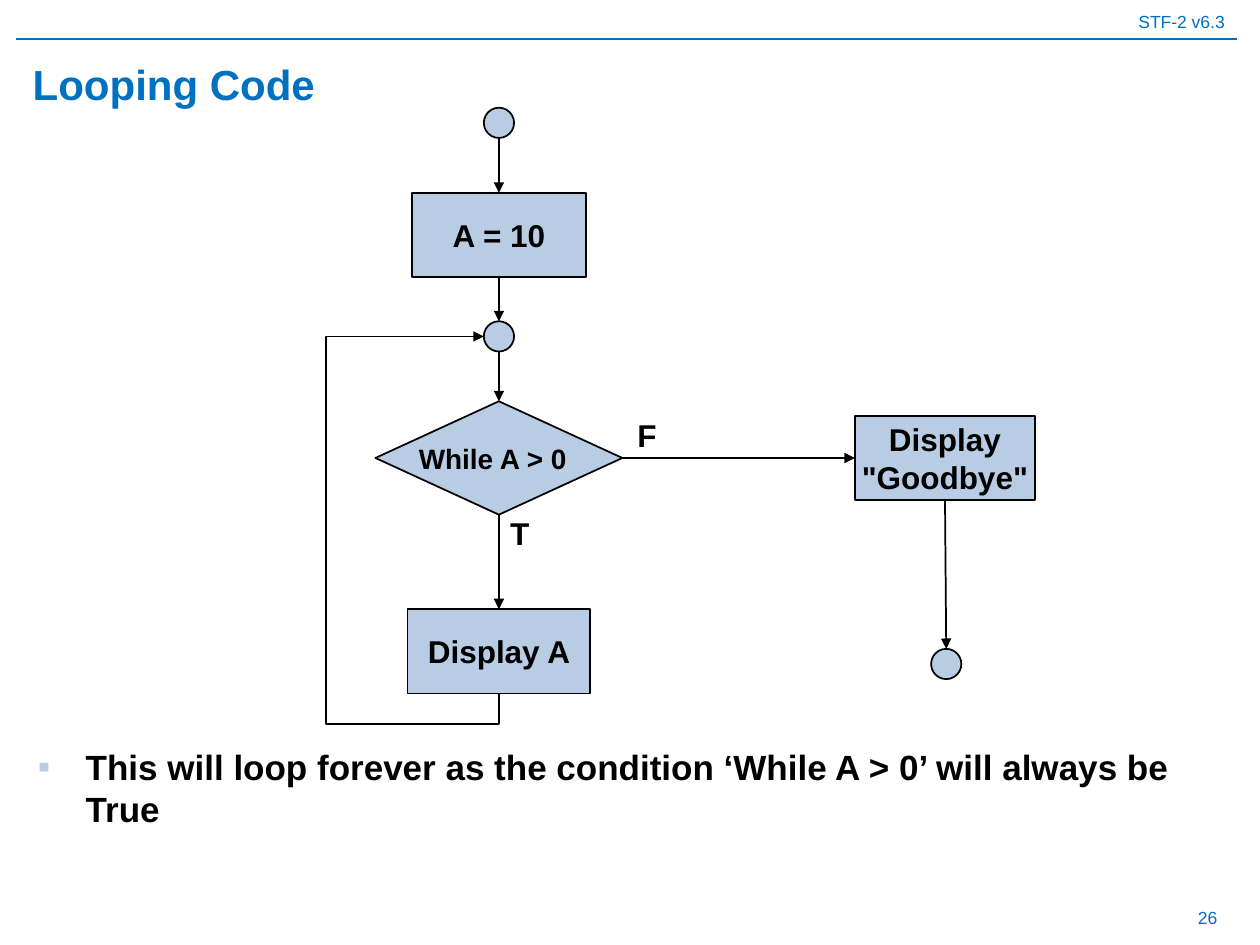
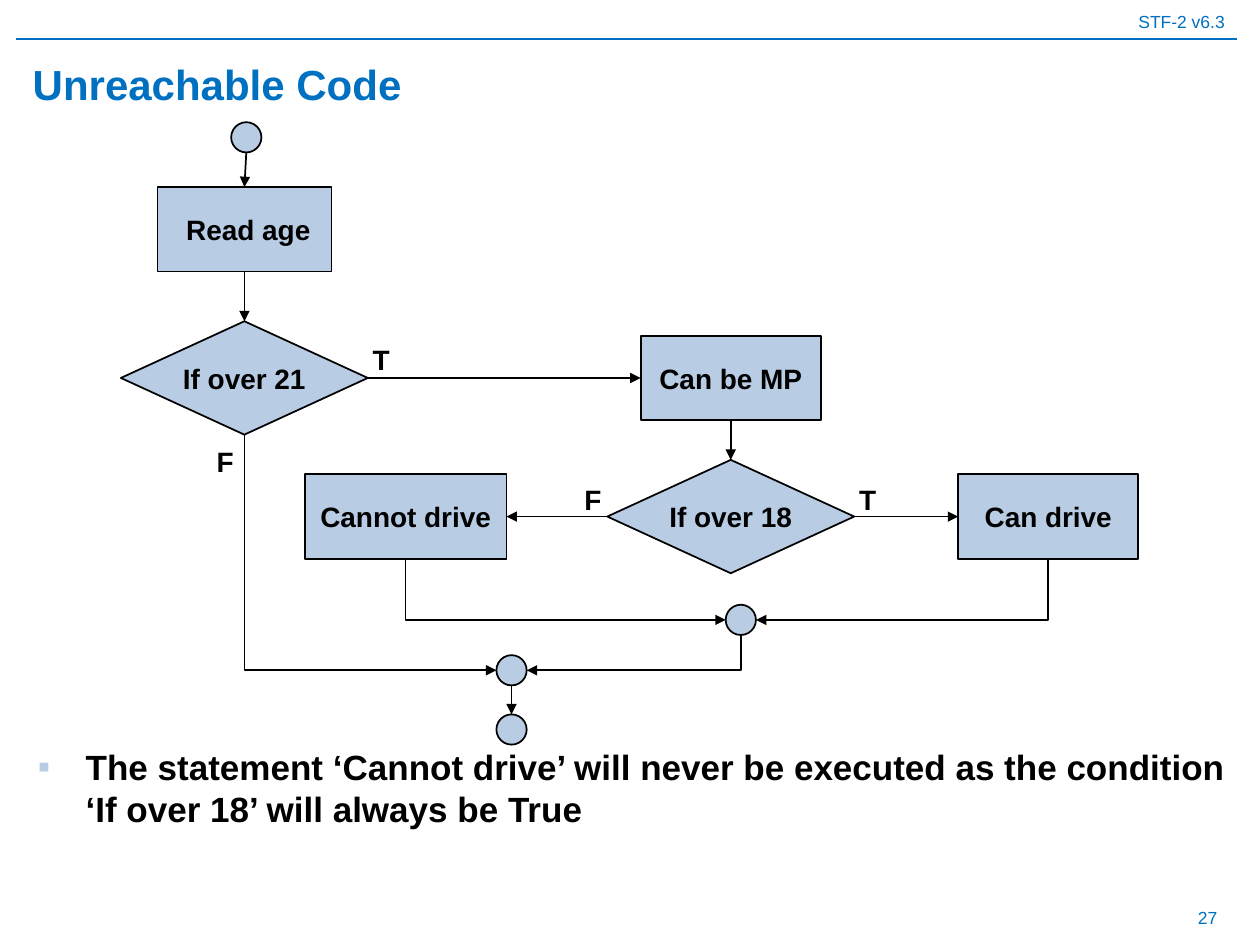
from dataclasses import dataclass
from typing import Any

from lxml.etree import SubElement
from pptx import Presentation
from pptx.dml.color import RGBColor
from pptx.enum.shapes import MSO_CONNECTOR, MSO_SHAPE
from pptx.enum.text import MSO_ANCHOR, MSO_AUTO_SIZE, PP_ALIGN
from pptx.oxml.ns import qn
from pptx.shapes.base import BaseShape
from pptx.slide import Slide
from pptx.util import Emu, Inches, Pt

# The slide is a grid of 100 columns by 75 rows of square cells.
SLIDE_WIDTH, SLIDE_HEIGHT = Inches(10), Inches(7.5)
CELL = SLIDE_WIDTH / 100
FONT = "Arial"
COLOURS = {"accent": "0070C0", "node": "B8CCE4", "ink": "000000"}

# Preset, default width and height in cells, and sites per quarter turn.
KINDS = {
    "process": (MSO_SHAPE.FLOWCHART_PROCESS, 14.3, 6.7, 1),
    "decision": (MSO_SHAPE.FLOWCHART_DECISION, 19.6, 9, 1),
    "junction": (MSO_SHAPE.FLOWCHART_CONNECTOR, 2.4, 2.4, 2),
}
SIDES = {"top": (0, 0, -0.5), "left": (1, -0.5, 0),
         "bottom": (2, 0, 0.5), "right": (3, 0.5, 0)}


@dataclass
class Node:
    """A flowchart shape, placed by its centre column and row."""
    kind: str
    column: float
    row: float
    text: str = ""
    width: float = 0
    size: int = 16
    left_inset: float = 1


@dataclass
class Arrow:
    """An arrow between the sides of two named nodes."""
    start: str
    end: str
    start_side: str = "bottom"
    end_side: str = "top"
    detour: tuple[float, float] | None = None


@dataclass
class Label:
    """A branch label, placed by its left column and top row."""
    text: str
    column: float
    row: float
    size: int = 16


@dataclass
class Page:
    """Everything that differs from slide to slide."""
    number: int
    title: str
    note: str
    nodes: dict[str, Node]
    arrows: list[Arrow]
    labels: list[Label]


def cells(count: float) -> Emu:
    """Convert grid cells to a length."""
    return Emu(round(count * CELL))


def colour(name: str) -> RGBColor:
    """Look up a named colour."""
    return RGBColor.from_string(COLOURS[name])


def apply(target: Any, values: dict[str, Any]) -> None:
    """Set each attribute of the target from a dict."""
    for name, value in values.items():
        setattr(target, name, value)


def place(shape: BaseShape, left: float, top: float, width: float, height: float) -> None:
    """Move and size a shape in grid cells."""
    apply(shape, {"left": cells(left), "top": cells(top),
                  "width": cells(width), "height": cells(height)})


def write(shape: BaseShape, text: str, size: int, ink: str = "ink", bold: bool = True,
          align: PP_ALIGN = PP_ALIGN.LEFT, **frame_values: Any) -> None:
    """Fill a shape with one formatted paragraph."""
    frame = shape.text_frame
    frame.text = text
    apply(frame, {"auto_size": MSO_AUTO_SIZE.NONE, **frame_values})
    paragraph = frame.paragraphs[0]
    apply(paragraph, {"alignment": align, "space_before": Pt(0)})
    for run in paragraph.runs:
        apply(run.font, {"name": FONT, "size": Pt(size), "bold": bold})
        run.font.color.rgb = colour(ink)


def style_line(line: Any, ink: str, width: float) -> None:
    """Give a line its colour and width."""
    line.color.rgb = colour(ink)
    line.width = Pt(width)


def add_line(slide: Slide, begin: tuple[float, float], end: tuple[float, float],
             ink: str = "ink", width: float = 1) -> BaseShape:
    """Draw a straight line without a shadow."""
    connector = slide.shapes.add_connector(
        MSO_CONNECTOR.STRAIGHT, *(cells(value) for value in begin + end))
    style_line(connector.line, ink, width)
    SubElement(connector._element.spPr, qn("a:effectLst"))
    return connector


def add_bullet(shape: BaseShape) -> None:
    """Give the first paragraph a small square bullet and a hanging indent."""
    properties = shape.text_frame.paragraphs[0]._p.get_or_add_pPr()
    properties.set("marL", str(Inches(0.38)))
    properties.set("indent", str(-Inches(0.38)))
    bullet_colour = SubElement(properties, qn("a:buClr"))
    SubElement(bullet_colour, qn("a:srgbClr"), val=COLOURS["node"])
    SubElement(properties, qn("a:buFont"), typeface=FONT)
    SubElement(properties, qn("a:buChar"), char="▪")


def add_frame(slide: Slide, page: Page) -> None:
    """Fill the placeholders and draw the header and slide number."""
    title, body = slide.placeholders
    place(title, 1.6, 3.9, 96.1, 5.5)
    write(title, page.title, 24, "accent", vertical_anchor=MSO_ANCHOR.MIDDLE)
    place(body, 2, 58.7, 96.5, 12.2)
    write(body, page.note, 20)
    add_bullet(body)

    header = slide.shapes.add_textbox(0, cells(0.4), SLIDE_WIDTH, cells(2.7))
    write(header, "STF-2 v6.3", 10, "accent", False, PP_ALIGN.RIGHT,
          word_wrap=True, margin_right=cells(2.8))
    add_line(slide, (1.3, 3.1), (98.2, 3.1), "accent", 0.75)
    number = slide.shapes.add_textbox(*(cells(n) for n in (74.3, 70.9, 23.3, 3.9)))
    write(number, str(page.number), 10, "accent", False, PP_ALIGN.RIGHT,
          word_wrap=True, vertical_anchor=MSO_ANCHOR.MIDDLE)


def node_size(node: Node) -> tuple[float, float]:
    """Return the width and height of a node in cells."""
    _, width, height, _ = KINDS[node.kind]
    return node.width or width, height


def add_node(slide: Slide, node: Node) -> BaseShape:
    """Draw one flowchart shape."""
    width, height = node_size(node)
    box = (node.column - width / 2, node.row - height / 2, width, height)
    shape = slide.shapes.add_shape(KINDS[node.kind][0], *(cells(n) for n in box))
    shape.shadow.inherit = False
    shape.fill.solid()
    shape.fill.fore_color.rgb = colour("node")
    style_line(shape.line, "ink", 1)
    if node.text:
        write(shape, node.text, node.size, align=PP_ALIGN.CENTER, word_wrap=False,
              vertical_anchor=MSO_ANCHOR.MIDDLE, margin_left=cells(node.left_inset))
    return shape


def side_point(node: Node, side: str) -> tuple[float, float]:
    """Return the middle of one side of a node."""
    width, height = node_size(node)
    _, across, down = SIDES[side]
    return node.column + across * width, node.row + down * height


def bend(connector: BaseShape, begin: tuple[float, float], end: tuple[float, float],
         detour: tuple[float, float] | None) -> None:
    """Turn a line into an elbow that leaves vertically and arrives sideways.

    A detour is the row and the column that the elbow runs along on its way.
    """
    across, down = end[0] - begin[0], end[1] - begin[1]
    length, breadth = abs(down), abs(across)
    middle_x, middle_y = (begin[0] + end[0]) / 2, (begin[1] + end[1]) / 2
    place(connector, middle_x - length / 2, middle_y - breadth / 2, length, breadth)
    properties = connector._element.spPr
    transform = properties.xfrm
    leftward = across < 0
    transform.set("rot", str((90 if leftward else 270) * 60000))
    transform.set("flipH", str(int((down > 0) != leftward)))
    transform.set("flipV", "0")
    geometry = properties.find(qn("a:prstGeom"))
    geometry.set("prst", "bentConnector4" if detour else "bentConnector2")
    if detour:
        row, column = detour
        shares = ((row - begin[1]) / down, (column - begin[0]) / across)
        for index, share in enumerate(shares, 1):
            SubElement(geometry.find(qn("a:avLst")), qn("a:gd"),
                       name=f"adj{index}", fmla=f"val {round(share * 100000)}")


def add_arrow(slide: Slide, arrow: Arrow, nodes: dict[str, Node],
              shapes: dict[str, BaseShape]) -> None:
    """Draw an arrow and attach both ends to their shapes."""
    ends = ((arrow.start, arrow.start_side), (arrow.end, arrow.end_side))
    begin, end = (side_point(nodes[name], side) for name, side in ends)
    connector = add_line(slide, begin, end)
    SubElement(connector.line._get_or_add_ln(), qn("a:tailEnd"), type="triangle")
    if arrow.start_side == "bottom" and arrow.end_side != "top":
        bend(connector, begin, end, arrow.detour)
    links = connector._element.nvCxnSpPr.cNvCxnSpPr
    for tag, (name, side) in zip(("a:stCxn", "a:endCxn"), ends):
        site = SIDES[side][0] * KINDS[nodes[name].kind][3]
        SubElement(links, qn(tag), id=str(shapes[name].shape_id), idx=str(site))


def add_label(slide: Slide, label: Label) -> None:
    """Write a branch label beside an arrow."""
    box = slide.shapes.add_textbox(*(cells(n) for n in (label.column, label.row, 3.5, 4)))
    write(box, label.text, label.size, word_wrap=False)


def add_page(presentation: Any, page: Page) -> None:
    """Build one slide."""
    slide = presentation.slides.add_slide(presentation.slide_layouts[1])
    add_frame(slide, page)
    shapes = {name: add_node(slide, node) for name, node in page.nodes.items()}
    for arrow in page.arrows:
        add_arrow(slide, arrow, page.nodes, shapes)
    for label in page.labels:
        add_label(slide, label)


PAGES = [
    Page(
        26, "Looping Code",
        "This will loop forever as the condition ‘While A > 0’ will always be True",
        {
            "start": Node("junction", 39.6, 9.75),
            "assign": Node("process", 39.6, 18.65, "A = 10", 13.8, 18),
            "merge": Node("junction", 39.6, 26.7),
            "while": Node("decision", 39.6, 36.35, "While A > 0", left_inset=0),
            "display": Node("process", 39.6, 51.7, "Display A", 14.5, 18),
            "goodbye": Node("process", 75, 36.35, 'Display\v"Goodbye"', size=18),
            "stop": Node("junction", 75.1, 52.7),
        },
        [
            Arrow("start", "assign"),
            Arrow("assign", "merge"),
            Arrow("merge", "while"),
            Arrow("while", "display"),
            Arrow("while", "goodbye", "right", "left"),
            Arrow("goodbye", "stop"),
            Arrow("display", "merge", "bottom", "left", detour=(57.5, 25.9)),
        ],
        [Label("F", 49.6, 32.5, 18), Label("T", 39.5, 40.3, 18)],
    ),
    Page(
        27, "Unreachable Code",
        "The statement ‘Cannot drive’ will never be executed as the condition "
        "‘If over 18’ will always be True",
        {
            "start": Node("junction", 19.55, 10.9),
            "read": Node("process", 19.4, 18.2, " Read age", 13.8),
            "over 21": Node("decision", 19.4, 30, "If over 21"),
            "member": Node("process", 58, 30, "Can be MP"),
            "over 18": Node("decision", 58, 41, "If over 18"),
            "cannot": Node("process", 32.2, 41, "Cannot drive", 16),
            "can": Node("process", 83.2, 41, "Can drive"),
            "inner merge": Node("junction", 58.8, 49.2),
            "outer merge": Node("junction", 40.6, 53.2),
            "stop": Node("junction", 40.6, 57.9),
        },
        [
            Arrow("start", "read"),
            Arrow("read", "over 21"),
            Arrow("over 21", "member", "right", "left"),
            Arrow("member", "over 18"),
            Arrow("over 18", "cannot", "left", "right"),
            Arrow("over 18", "can", "right", "left"),
            Arrow("cannot", "inner merge", "bottom", "left"),
            Arrow("can", "inner merge", "bottom", "right"),
            Arrow("over 21", "outer merge", "bottom", "left"),
            Arrow("inner merge", "outer merge", "bottom", "right"),
            Arrow("outer merge", "stop"),
        ],
        [Label("T", 28.6, 26.7), Label("F", 16.2, 34.8),
         Label("T", 67.2, 37.8), Label("F", 45.4, 37.8)],
    ),
]

presentation = Presentation()
apply(presentation, {"slide_width": SLIDE_WIDTH, "slide_height": SLIDE_HEIGHT})
for page in PAGES:
    add_page(presentation, page)
presentation.save("out.pptx")
